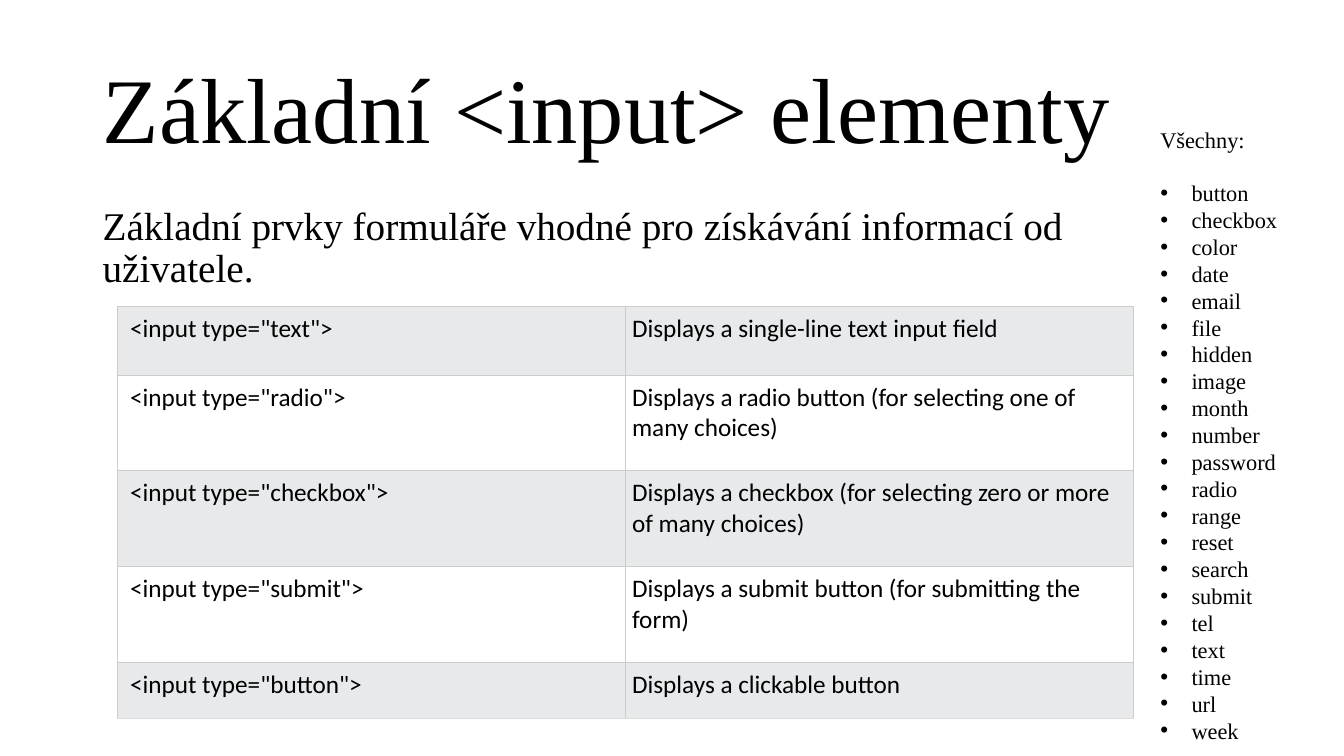
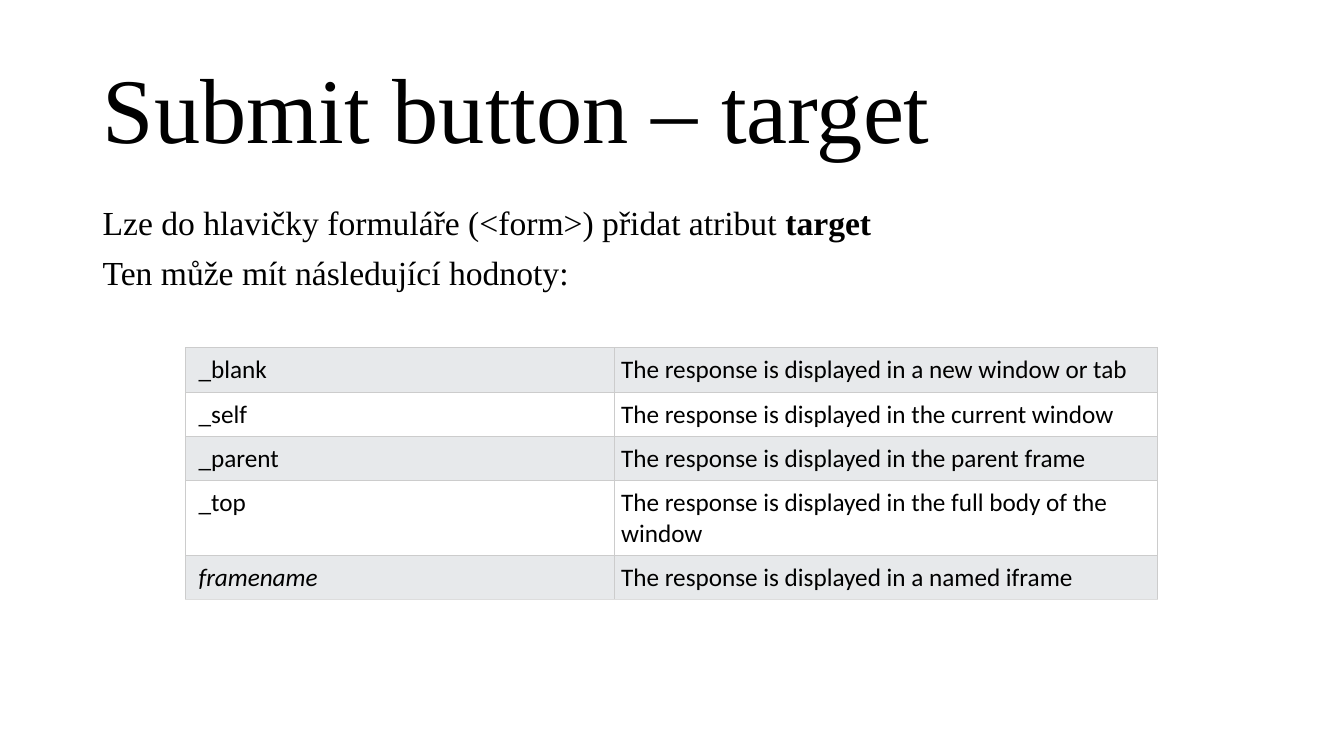
from lxml import etree
from pptx import Presentation
from pptx.dml.color import RGBColor
from pptx.enum.text import MSO_ANCHOR, MSO_AUTO_SIZE, PP_ALIGN
from pptx.oxml.ns import qn
from pptx.util import Inches, Pt

TOP, MIDDLE = MSO_ANCHOR.TOP, MSO_ANCHOR.MIDDLE
NO_AUTOFIT = MSO_AUTO_SIZE.NONE
LEFT = PP_ALIGN.LEFT
TITLE_ONLY = 5

SERIF, SANS = "Times New Roman", "Calibri"
BLACK, WHITE, BAND = "000000", "FFFFFF", "E7E9EB"
GRID, GRID_END = "CCCCCC", "DDDDDD"

INPUT_ROWS = [
    ('<input type="text">', "Displays a single-line text input field"),
    ('<input type="radio">', "Displays a radio button (for selecting one of many choices)"),
    ('<input type="checkbox">', "Displays a checkbox (for selecting zero or more of many choices)"),
    ('<input type="submit">', "Displays a submit button (for submitting the form)"),
    ('<input type="button">', "Displays a clickable button"),
]
TARGET_ROWS = [
    ("_blank", "The response is displayed in a new window or tab"),
    ("_self", "The response is displayed in the current window"),
    ("_parent", "The response is displayed in the parent frame"),
    ("_top", "The response is displayed in the full body of the window"),
    ("framename", "The response is displayed in a named iframe"),
]
INPUT_TYPES = [
    "button", "checkbox", "color", "date", "email", "file", "hidden",
    "image", "month", "number", "password", "radio", "range", "reset",
    "search", "submit", "tel", "text", "time", "url", "week",
]


def colour(value):
    """Turn a hex string into a colour."""
    return RGBColor.from_string(value)


def add_span(para, text, size, name, **extra):
    """Add one formatted run of text to a paragraph."""
    span = para.add_run()
    span.text = text
    formats = {"size": Pt(size), "name": name, **extra}
    for key, value in formats.items():
        setattr(span.font, key, value)
    span.font.color.rgb = colour(BLACK)


def add_bullet(para, indent=0.31):
    """Give a paragraph a hanging round bullet."""
    props = para._p.get_or_add_pPr()
    props.set("marL", str(Inches(indent)))
    props.set("indent", str(-Inches(indent)))
    etree.SubElement(props, qn("a:buFont")).set("typeface", "Arial")
    etree.SubElement(props, qn("a:buChar")).set("char", "•")


def add_box(page, left, top, width, height):
    """Add an empty wrapping text box and return its text frame."""
    box = page.shapes.add_textbox(
        Inches(left), Inches(top), Inches(width), Inches(height))
    box.text_frame.word_wrap = True
    return box.text_frame


def add_page(deck, title, width):
    """Add a page with a large left-aligned title."""
    page = deck.slides.add_slide(deck.slide_layouts[TITLE_ONLY])
    box = page.shapes.title
    place = {"left": 0.92, "top": 0.4, "width": width, "height": 1.45}
    for key, value in place.items():
        setattr(box, key, Inches(value))
    frame = box.text_frame
    formats = {"word_wrap": True, "auto_size": NO_AUTOFIT, "vertical_anchor": MIDDLE}
    for key, value in formats.items():
        setattr(frame, key, value)
    para = frame.paragraphs[0]
    para.alignment = LEFT
    para.line_spacing = 0.9
    add_span(para, title, 66, SERIF)
    return page


def add_body(page, width, size, lines):
    """Add the introduction, each line a list of text and bold pairs."""
    frame = add_box(page, 0.92, 2, width, 4.76)
    for index, line in enumerate(lines):
        para = frame.add_paragraph() if index else frame.paragraphs[0]
        para.line_spacing = 0.9
        if index:
            para.space_before = Pt(10)
        for text, bold in line:
            add_span(para, text, size, SERIF, bold=bold)


def add_borders(cell, bottom):
    """Draw thin grey borders around a table cell."""
    props = cell._tc.get_or_add_tcPr()
    sides = {"a:lnL": GRID, "a:lnR": GRID, "a:lnT": GRID, "a:lnB": bottom}
    for side, value in sides.items():
        line = etree.SubElement(props, qn(side), w=str(Pt(0.6)))
        fill = etree.SubElement(line, qn("a:solidFill"))
        etree.SubElement(fill, qn("a:srgbClr"), val=value)


def add_grid(page, left, top, columns, heights, rows, italic=()):
    """Add a two-column table with alternating row fills."""
    table = page.shapes.add_table(
        len(rows), len(columns), Inches(left), Inches(top),
        Inches(sum(columns)), Inches(sum(heights))).table
    table.first_row = table.horz_banding = False
    for column, width in zip(table.columns, columns):
        column.width = Inches(width)
    for index, (texts, height) in enumerate(zip(rows, heights)):
        table.rows[index].height = Inches(height)
        bottom = GRID_END if index == len(rows) - 1 else GRID
        for position, text in enumerate(texts):
            cell = table.cell(index, position)
            add_borders(cell, bottom)
            cell.fill.solid()
            cell.fill.fore_color.rgb = colour(WHITE if index % 2 else BAND)
            formats = {
                "margin_left": Inches(0.07 if position else 0.13),
                "margin_right": Inches(0.07),
                "margin_top": Inches(0.07),
                "margin_bottom": Inches(0.07),
                "vertical_anchor": TOP,
            }
            for key, value in formats.items():
                setattr(cell, key, value)
            add_span(cell.text_frame.paragraphs[0], text, 18, SANS,
                     italic=text in italic)


def add_type_list(page, left, top, width, height):
    """Add the side list of all input types."""
    frame = add_box(page, left, top, width, height)
    add_span(frame.paragraphs[0], "Všechny:", 16, SERIF)
    for index, name in enumerate(INPUT_TYPES):
        para = frame.add_paragraph()
        add_bullet(para)
        if index == 0:
            para.space_before = Pt(19)
        add_span(para, name, 16, SERIF)


def build_inputs(deck):
    """Build the page on basic input elements."""
    page = add_page(deck, "Základní <input> elementy", 10.5)
    add_body(page, 10.5, 28, [[(
        "Základní prvky formuláře vhodné pro získávání informací od uživatele.", False)]])
    add_grid(page, 1.16, 3.04, [5.04, 5.04], [0.68, 0.95, 0.95, 0.95, 0.56], INPUT_ROWS)
    add_type_list(page, 11.41, 1.2, 1.9, 6.3)


def build_target(deck):
    """Build the page on the target attribute."""
    page = add_page(deck, "Submit button – target", 11.5)
    add_body(page, 11.5, 24, [
        [("Lze do hlavičky formuláře (<form>) přidat atribut ", False), ("target", True)],
        [("Ten může mít následující hodnoty:", False)],
    ])
    add_grid(page, 1.84, 3.45, [4.25, 5.39], [0.44, 0.44, 0.44, 0.74, 0.44],
             TARGET_ROWS, italic=("framename",))


def main():
    """Build and save the deck."""
    deck = Presentation()
    deck.slide_width, deck.slide_height = Inches(13.33), Inches(7.5)
    build_inputs(deck)
    build_target(deck)
    deck.save("out.pptx")


if __name__ == "__main__":
    main()
